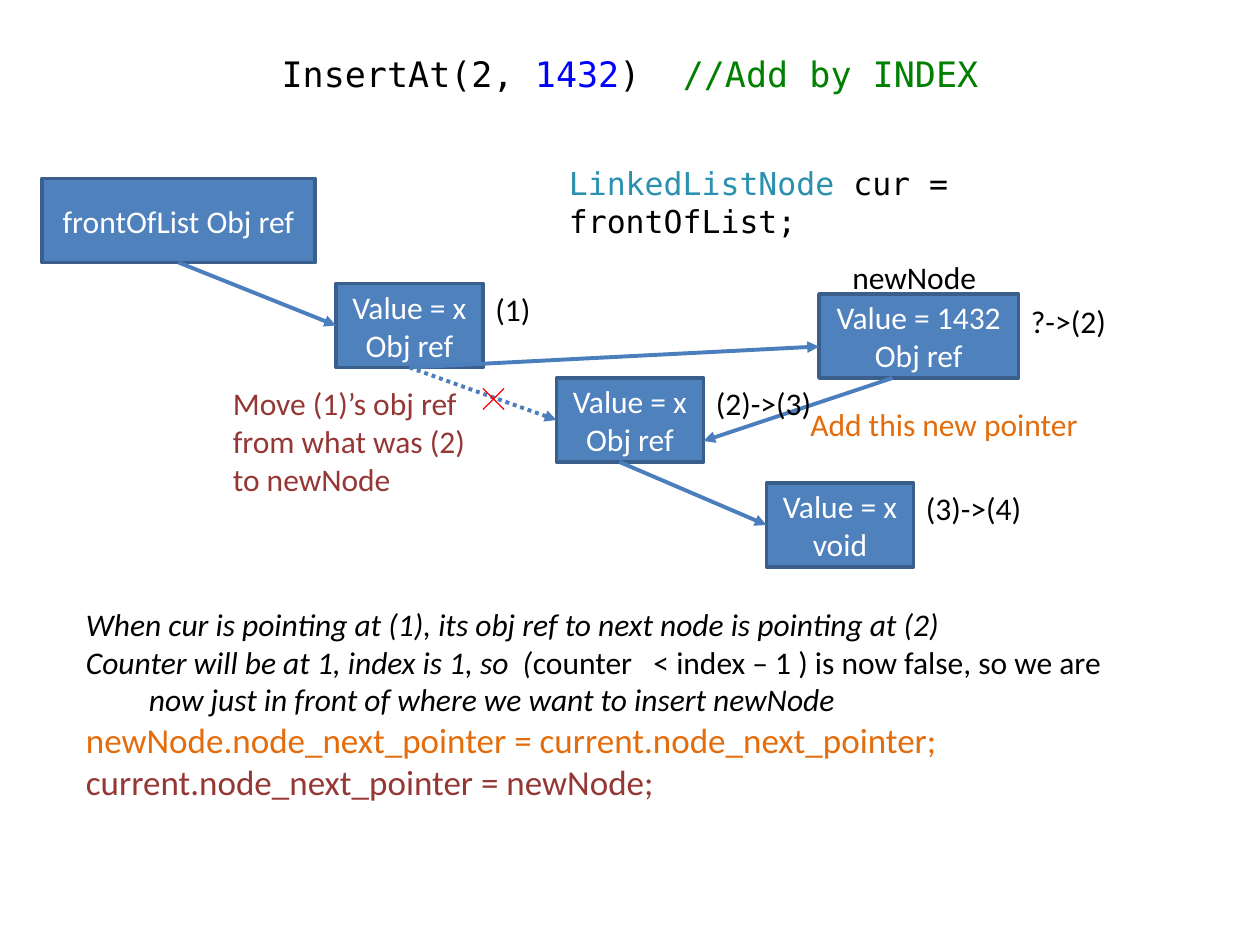
from lxml import etree
from pptx import Presentation
from pptx.dml.color import RGBColor
from pptx.enum.dml import MSO_LINE
from pptx.enum.shapes import MSO_CONNECTOR, MSO_SHAPE
from pptx.enum.text import MSO_ANCHOR, PP_ALIGN
from pptx.oxml.ns import qn
from pptx.util import Pt

RECT = MSO_SHAPE.RECTANGLE
LINE = MSO_CONNECTOR.STRAIGHT
DOTS = MSO_LINE.ROUND_DOT
MID = MSO_ANCHOR.MIDDLE
LEFT, MIDDLE = PP_ALIGN.LEFT, PP_ALIGN.CENTER
SANS, MONO = "Calibri", "DejaVu Sans Mono"
HEX = {
    "black": "000000", "white": "FFFFFF", "blue": "0000FF", "green": "008000",
    "teal": "2B91AF", "box": "4F81BD", "edge": "3A5F8C", "arrow": "4B7EBC",
    "orange": "E46C0A", "wine": "953735", "red": "FF0000",
}
RGB = {name: RGBColor.from_string(code) for name, code in HEX.items()}

deck = Presentation()
deck.slide_width, deck.slide_height = Pt(720), Pt(540)
slide = deck.slides.add_slide(deck.slide_layouts[5])
shapes = slide.shapes


def write(shape, lines, font=SANS, size=18, align=LEFT):
    """Fill a shape; each line is a list of (text, colour, italic) runs."""
    frame = shape.text_frame
    for i, line in enumerate(lines):
        para = frame.paragraphs[0] if i == 0 else frame.add_paragraph()
        para.alignment = align
        for text, color, *slant in line:
            run = para.add_run()
            run.text = text
            run.font.name = font
            run.font.size = Pt(20 if color in ("orange", "wine") and slant else size)
            run.font.color.rgb = RGB[color]
            run.font.italic = bool(slant and slant[0])


def join(x1, y1, x2, y2, color="arrow", width=2.25, head=True):
    """Draw a straight line, with an arrowhead at its end if asked."""
    link = shapes.add_connector(LINE, Pt(x1), Pt(y1), Pt(x2), Pt(y2))
    link.line.color.rgb = RGB[color]
    link.line.width = Pt(width)
    if head:
        ln = link.line._get_or_add_ln()
        etree.SubElement(ln, qn("a:tailEnd"), type="triangle")
    etree.SubElement(link._element.spPr, qn("a:effectLst"))
    return link


# Title
title = shapes.title
title.left, title.top, title.width, title.height = Pt(36), Pt(12), Pt(648), Pt(60)
title.text_frame.vertical_anchor = MID
write(title, [[("InsertAt(2, ", "black"), ("1432", "blue"), (")  ", "black"),
               ("//Add by INDEX", "green")]], MONO, 20, MIDDLE)

# List nodes
nodes = [
    (24, 102, 156, 48, ["frontOfList Obj ref"]),
    (192, 162, 84, 48, ["Value = x", "Obj ref"]),
    (318, 216, 84, 48, ["Value = x", "Obj ref"]),
    (438, 276, 84, 48, ["Value = x", "void"]),
    (468, 168, 114, 48, ["Value = 1432", "Obj ref"]),
]
for x, y, w, h, lines in nodes:
    node = shapes.add_shape(RECT, Pt(x), Pt(y), Pt(w), Pt(h))
    node.shadow.inherit = False
    node.fill.solid()
    node.fill.fore_color.rgb = RGB["box"]
    node.line.color.rgb = RGB["edge"]
    node.line.width = Pt(2)
    node.text_frame.vertical_anchor = MID
    write(node, [[(line, "white")] for line in lines], align=MIDDLE)

# Pointers
for ends in [(102, 150, 192, 186), (354, 264, 438, 300),
             (234, 210, 468, 198), (510, 216, 402, 252)]:
    join(*ends)
join(234, 210, 318, 240).line.dash_style = DOTS

# Cross on the dropped pointer
for y1, y2 in [(222, 234), (234, 222)]:
    join(276, y1, 288, y2, "red", 0.75, False)

# Labels, notes and code: left, top, width, height, wrap, font, lines
notes = [
    (276, 162, 45, 29, True, SANS, [[("(1)", "black")]]),
    (402, 216, 78, 29, True, SANS, [[("(2)->(3)", "black")]]),
    (522, 276, 78, 29, True, SANS, [[("(3)->(4)", "black")]]),
    (582, 169, 78, 29, True, SANS, [[("?->(2)", "black")]]),
    (480, 144, 86.5, 29, False, SANS, [[("newNode", "black")]]),
    (456, 228, 169, 29, False, SANS, [[("Add this new pointer", "orange")]]),
    (126, 216, 149, 73, False, SANS, [
        [("Move (1)’s obj ref", "wine")],
        [("from what was (2)", "wine")],
        [("to newNode", "wine")]]),
    (318, 90, 343.5, 29, True, MONO, [
        [("LinkedListNode", "teal"), (" cur = frontOfList;", "black")]]),
    (42, 342, 602, 143, False, SANS, [
        [("When cur is pointing at (1), its obj ref to next node is pointing at (2)",
          "black", True)],
        [("Counter will be at 1, index is 1, so  (", "black", True),
         ("counter   < index – 1 ) is now false, so we are", "black")],
        [("\tnow just in front of where we want to insert newNode", "black", True)],
        [("newNode.node_next_pointer = current.node_next_pointer;", "orange", False)],
        [("current.node_next_pointer = newNode;", "wine", False)]]),
]
for x, y, w, h, wrap, font, lines in notes:
    note = shapes.add_textbox(Pt(x), Pt(y), Pt(w), Pt(h))
    note.text_frame.word_wrap = wrap
    write(note, lines, font)

deck.save("out.pptx")
